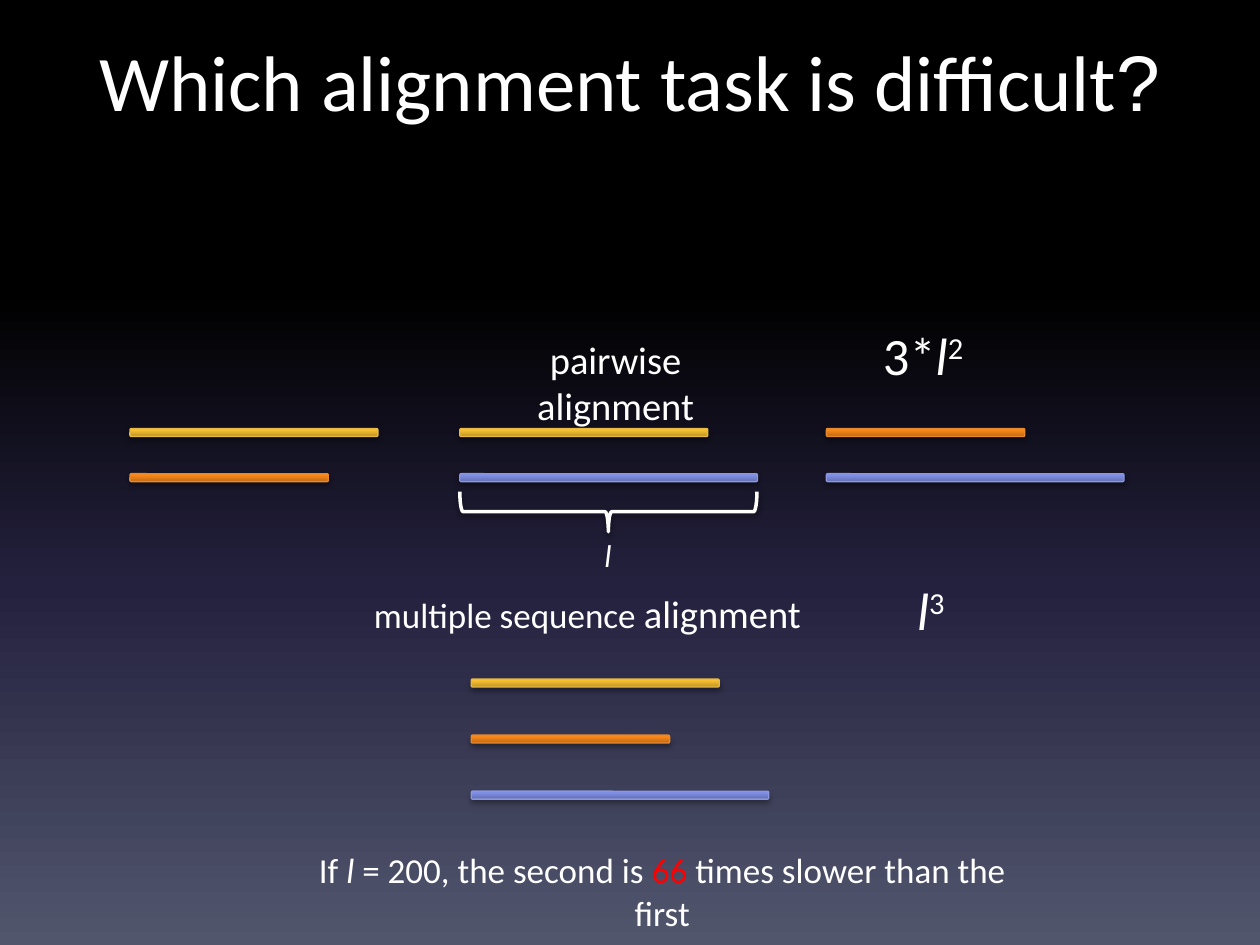
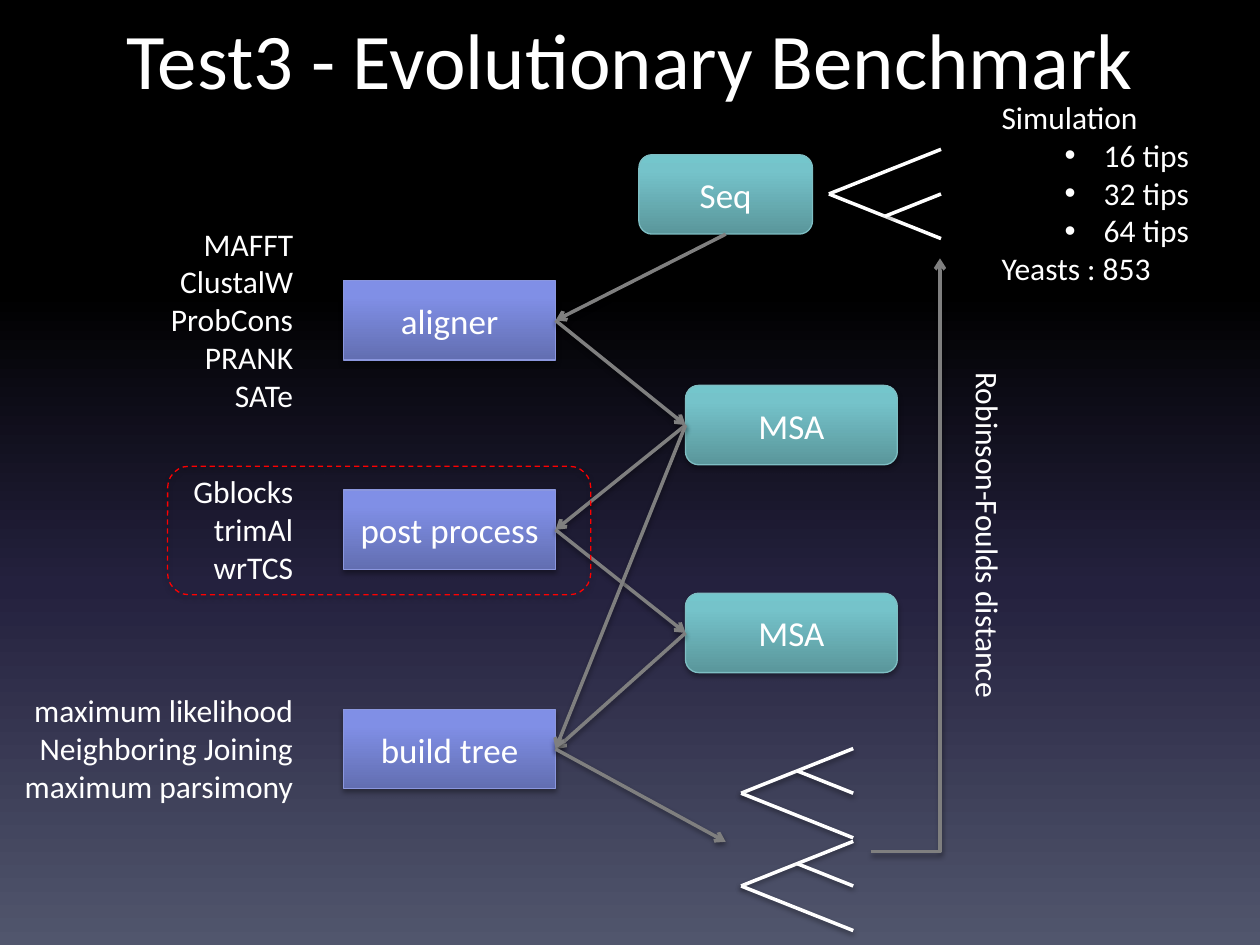
import pptx
import pptx.dml.color
import pptx.enum.dml
import pptx.enum.shapes
import pptx.enum.text
import pptx.oxml
import pptx.oxml.ns
import pptx.util
from lxml import etree

Cm, Pt = pptx.util.Cm, pptx.util.Pt
SHAPE = pptx.enum.shapes.MSO_SHAPE
LINK = pptx.enum.shapes.MSO_CONNECTOR
ALIGN = pptx.enum.text.PP_ALIGN
qn = pptx.oxml.ns.qn

# Shared look
COLORS = {"white": "FFFFFF", "red": "FF0000", "gray": "7F7F7F", "black": "000000"}
FONT = "Calibri"
BACKGROUND = [(0, "000000"), (31, "000000"), (62, "24213E"), (100, "51566D")]
GLOSS = {  # gradient stops from the bottom up, and outline
    "yellow": ([(0, "BF9426"), (80, "F8C031"), (100, "FDC32D")], "E7BA45"),
    "orange": ([(0, "C06914"), (80, "FA8819"), (100, "FF8915")], "E68A2F"),
    "blue": ([(0, "626EB1"), (80, "808FE6"), (100, "7E8EE9")], "8B97DE"),
    "teal": ([(0, "5A969B"), (80, "75C3CA"), (100, "74C6CC")], "7EBEC3"),
}

# Slide 1 content; all lengths in cm
ITALIC = {"italic": True}
SUPER = {"baseline": 30}
SEQUENCE_LENGTH = {"yellow": 5, "orange": 4, "blue": 6}
BAR_HEIGHT = 0.16
# left, top, row step, sequences
ALIGNMENTS = [
    (2.62, 8.64, 0.91, ("yellow", "orange")),
    (9.27, 8.64, 0.91, ("yellow", "blue")),
    (16.66, 8.64, 0.91, ("orange", "blue")),
    (9.5, 13.69, 1.13, ("yellow", "orange", "blue")),
]
# box, size, alignment, runs
COST_LABELS = [
    ((7.95, 6.65, 7.65, 1.19), 22, ALIGN.CENTER, [("pairwise alignment", {})]),
    ((6.02, 11.76, 13.34, 1.19), 20, ALIGN.LEFT,
     [("multiple sequence ", {}), ("alignment", {"size": 22})]),
    ((16.28, 6.38, 4.39, 1.55), 30, ALIGN.LEFT, [("3*", {}), ("l", ITALIC), ("2", SUPER)]),
    ((16.97, 11.53, 4.06, 1.55), 30, ALIGN.LEFT, [("l", ITALIC), ("3", SUPER)]),
    ((4.83, 16.99, 15.77, 1.12), 20, ALIGN.CENTER,
     [("If ", {}), ("l", ITALIC), (" = 200, the second is ", {}),
      ("66", {"color": "red"}), (" times slower than the first", {})]),
]

# Slide 2 content
STAGE_LEFT, BOX_WIDTH, BOX_HEIGHT = 6.93, 4.27, 1.6
STAGES = [  # name, top, methods
    ("aligner", 5.66, ["MAFFT", "ClustalW", "ProbCons", "PRANK", "SATe"]),
    ("post process", 9.88, ["Gblocks", "trimAl", "wrTCS"]),
    ("build tree", 14.3, ["maximum likelihood", "Neighboring Joining", "maximum parsimony"]),
]
METHODS_WIDTH, LINE_HEIGHT, INSETS = 6.16, 0.77, 0.26
DATA = [  # key, label, left, top, width
    ("seq", "Seq", 12.88, 3.12, 3.5),
    ("raw", "MSA", 13.82, 7.77, BOX_WIDTH),
    ("filtered", "MSA", 13.82, 11.96, BOX_WIDTH),
]
LEFT_SIDE, BOTTOM, RIGHT_SIDE = 1, 2, 3
FLOW = [
    (("seq", BOTTOM), ("aligner", RIGHT_SIDE)),
    (("aligner", RIGHT_SIDE), ("raw", LEFT_SIDE)),
    (("raw", LEFT_SIDE), ("post process", RIGHT_SIDE)),
    (("post process", RIGHT_SIDE), ("filtered", LEFT_SIDE)),
    (("filtered", LEFT_SIDE), ("build tree", RIGHT_SIDE)),
    (("raw", LEFT_SIDE), ("build tree", RIGHT_SIDE)),
]
TREES_ARROW_END = (14.63, 16.97)
TREES = [(16.71, 3.91, 1), (14.94, 15.99, -1), (14.94, 17.86, -1)]  # root, forked side
TREE_WIDTH, TREE_RISE = 2.26, 0.9
DATASETS = [("Simulation", False), ("16 tips", True), ("32 tips", True),
            ("64 tips", True), ("Yeasts : 853", False)]


def rgb(name):
    return pptx.dml.color.RGBColor.from_string(COLORS.get(name, name))


def style_font(font, size, color="white"):
    font.name, font.size = FONT, Pt(size)
    font.color.rgb = rgb(color)


def paint_gradient(fill, element, stops, angle):
    fill.gradient()
    fill.gradient_angle = angle
    stop_list = next(element.iter(qn("a:gsLst")))
    for stop in list(stop_list):
        stop_list.remove(stop)
    for position, color in stops:
        stop = etree.SubElement(stop_list, qn("a:gs"), pos=str(position * 1000))
        etree.SubElement(stop, qn("a:srgbClr"), val=color)


def add_shadow(shape, opacity=35, distance=1.8):
    effects = etree.SubElement(shape._element.spPr, qn("a:effectLst"))
    shadow = etree.SubElement(effects, qn("a:outerShdw"), blurRad=str(Pt(3.1)),
                              dist=str(Pt(distance)), dir="5400000", rotWithShape="0")
    color = etree.SubElement(shadow, qn("a:srgbClr"), val=COLORS["black"])
    etree.SubElement(color, qn("a:alpha"), val=str(opacity * 1000))


def add_outline(slide, kind, box, color, width):
    shape = slide.shapes.add_shape(kind, *map(Cm, box))
    shape.fill.background()
    shape.line.color.rgb = rgb(color)
    shape.line.width = Pt(width)
    return shape


def add_glossy(slide, kind, box, gloss, label=None):
    stops, edge = GLOSS[gloss]
    shape = add_outline(slide, kind, box, edge, 0.75)
    paint_gradient(shape.fill, shape._element, stops, 90)
    add_shadow(shape)
    if label:
        paragraph = shape.text_frame.paragraphs[0]
        paragraph.text = label
        paragraph.alignment = ALIGN.CENTER
        style_font(paragraph.font, 20)
    return shape


def add_text(slide, box, lines, size=18, align=ALIGN.LEFT):
    """Each line is a string or a list of (text, format) runs."""
    textbox = slide.shapes.add_textbox(*map(Cm, box))
    frame = textbox.text_frame
    frame.word_wrap = True
    for index, line in enumerate(lines):
        paragraph = frame.add_paragraph() if index else frame.paragraphs[0]
        paragraph.alignment = align
        style_font(paragraph.font, size)
        for text, look in [(line, {})] if isinstance(line, str) else line:
            run = paragraph.add_run()
            run.text = text
            if "italic" in look:
                run.font.italic = True
            if "size" in look:
                run.font.size = Pt(look["size"])
            if "color" in look:
                run.font.color.rgb = rgb(look["color"])
            if "baseline" in look:
                run._r.get_or_add_rPr().set("baseline", str(look["baseline"] * 1000))
    return textbox


def indent(paragraph, margin, first=0, bullet=None):
    paragraph.level = 1
    properties = paragraph._p.get_or_add_pPr()
    properties.set("marL", str(Cm(margin)))
    properties.set("indent", str(Cm(first)))
    if bullet:
        font = pptx.oxml.parse_xml(f'<a:buFont {pptx.oxml.ns.nsdecls("a")} typeface="Arial"/>')
        mark = pptx.oxml.parse_xml(f'<a:buChar {pptx.oxml.ns.nsdecls("a")} char="{bullet}"/>')
        properties.insert(0, font)
        properties.insert(1, mark)


def add_line(slide, start=(0, 0), end=(0, 0), color="white", arrow=False, kind=LINK.STRAIGHT):
    line = slide.shapes.add_connector(kind, *map(Cm, (*start, *end)))
    line.line.color.rgb = rgb(color)
    line.line.width = Pt(2)
    if arrow:
        etree.SubElement(line.line._get_or_add_ln(), qn("a:tailEnd"), type="arrow")
    add_shadow(line, 38, 1.6)
    return line


def add_tree(slide, x, y, side):
    tip = x + TREE_WIDTH
    for direction in (-1, 1):
        add_line(slide, (x, y), (tip, y + direction * TREE_RISE))
    add_line(slide, (x + TREE_WIDTH / 2, y + side * TREE_RISE / 2), (tip, y))


def add_titled_slide(prs, box, runs):
    slide = prs.slides.add_slide(prs.slide_layouts[5])
    title = slide.shapes.title
    title.left, title.top, title.width, title.height = map(Cm, box)
    paragraph = title.text_frame.paragraphs[0]
    paragraph.alignment = ALIGN.CENTER
    style_font(paragraph.font, 45)
    for text, font_name in runs:
        run = paragraph.add_run()
        run.text = text
        run.font.name = font_name
    return slide


def build_difficulty(prs):
    slide = add_titled_slide(prs, (1.45, 0.53, 22.5, 2.18),
                             [("Which alignment task is difficult", FONT), ("?", "Arial")])
    # Sequences
    for left, top, step, sequences in ALIGNMENTS:
        for row, color in enumerate(sequences):
            box = (left, top + row * step, SEQUENCE_LENGTH[color], BAR_HEIGHT)
            add_glossy(slide, SHAPE.ROUNDED_RECTANGLE, box, color)
    # Tasks and their costs
    for box, size, align, runs in COST_LABELS:
        label = add_text(slide, box, [runs], size, align)
        indent(label.text_frame.paragraphs[0], 1.27)
    # Length of the longest sequence
    brace = add_outline(slide, SHAPE.LEFT_BRACE, (11.86, 7.32, 0.81, 5.99), "white", 2)
    brace.rotation = 270
    add_shadow(brace, 38, 1.6)
    add_text(slide, (11.43, 10.69, 1.65, 1.02), [[("l", ITALIC)]], align=ALIGN.CENTER)


def build_benchmark(prs):
    slide = add_titled_slide(prs, (1.27, 0.08, 22.86, 2.18),
                             [("Test3 - Evolutionary Benchmark", FONT)])
    # Data and stages, with the methods centred beside each stage
    boxes = {}
    for key, label, left, top, width in DATA:
        boxes[key] = add_glossy(slide, SHAPE.ROUNDED_RECTANGLE,
                                (left, top, width, BOX_HEIGHT), "teal", label)
    for name, top, methods in STAGES:
        boxes[name] = add_glossy(slide, SHAPE.RECTANGLE,
                                 (STAGE_LEFT, top, BOX_WIDTH, BOX_HEIGHT), "blue", name)
        height = len(methods) * LINE_HEIGHT + INSETS
        add_text(slide, (0, top + (BOX_HEIGHT - height) / 2, METHODS_WIDTH, height),
                 methods, align=ALIGN.RIGHT)

    # Flow
    for (source, source_side), (target, target_side) in FLOW:
        arrow = add_line(slide, color="gray", arrow=True)
        arrow.begin_connect(boxes[source], source_side)
        arrow.end_connect(boxes[target], target_side)
    to_trees = add_line(slide, end=TREES_ARROW_END, color="gray", arrow=True)
    to_trees.begin_connect(boxes["build tree"], RIGHT_SIDE)
    for tree in TREES:
        add_tree(slide, *tree)

    # Comparison of the built trees with the reference tree
    comparison = add_line(slide, (24.23, 11.89), (12.27, 10.49), "gray", True, LINK.ELBOW)
    geometry = comparison._element.spPr
    geometry.find(qn("a:xfrm")).set("rot", "5400000")
    etree.SubElement(next(geometry.iter(qn("a:avLst"))), qn("a:gd"), name="adj1", fmla="val 0")
    distance = add_text(slide, (16.26, 10.41, 7.32, 1.02), ["Robinson-Foulds distance"])
    distance.rotation = 90

    # Data sets
    datasets = add_text(slide, (19.94, 1.85, 4.32, 4.11), [text for text, _ in DATASETS])
    for paragraph, (_, bulleted) in zip(datasets.text_frame.paragraphs, DATASETS):
        if bulleted:
            indent(paragraph, 2.06, -0.79, "•")

    # Highlight around the post process
    highlight = add_outline(slide, SHAPE.ROUNDED_RECTANGLE, (3.38, 9.4, 8.53, 2.59), "red", 0.75)
    highlight.line.dash_style = pptx.enum.dml.MSO_LINE.DASH
    add_shadow(highlight)


def main():
    prs = pptx.Presentation()
    prs.slide_width, prs.slide_height = Cm(25.4), Cm(19.05)
    master = prs.slide_master
    paint_gradient(master.background.fill, master._element, BACKGROUND, 270)
    build_difficulty(prs)
    build_benchmark(prs)
    prs.save("out.pptx")


if __name__ == "__main__":
    main()
